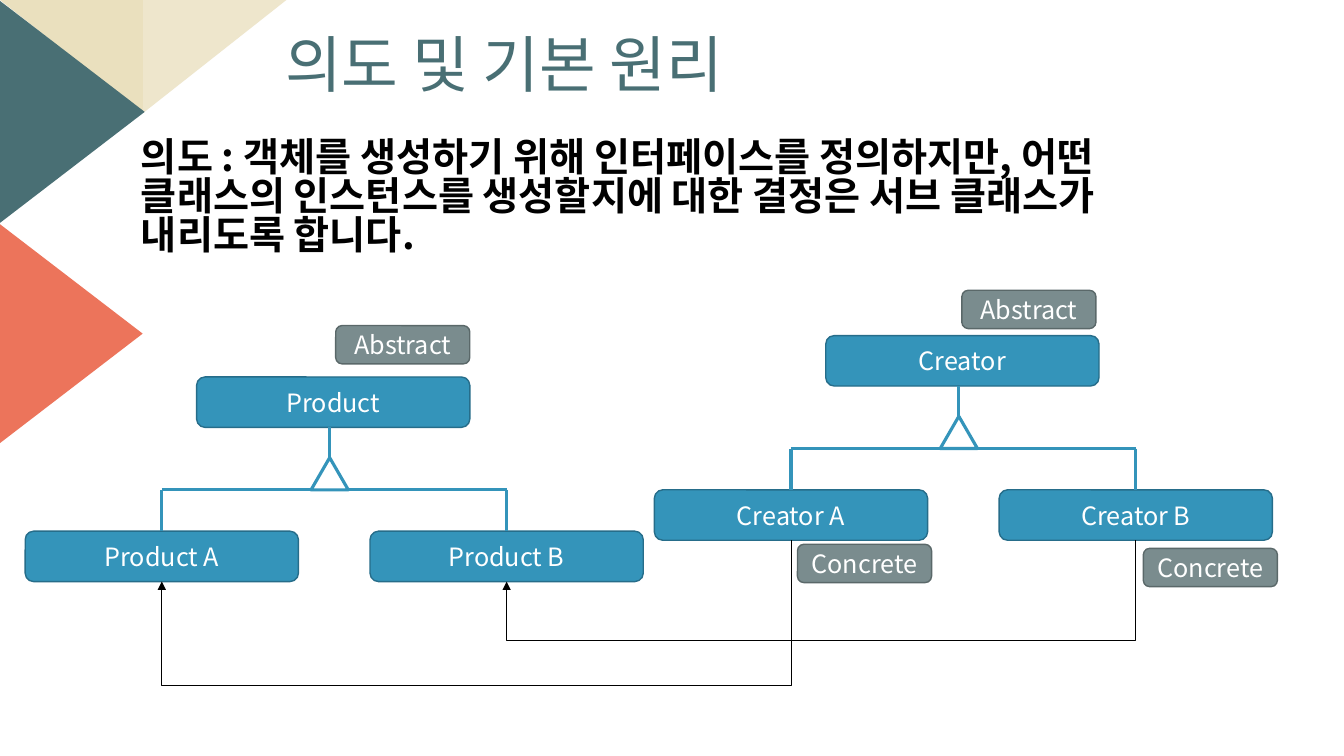
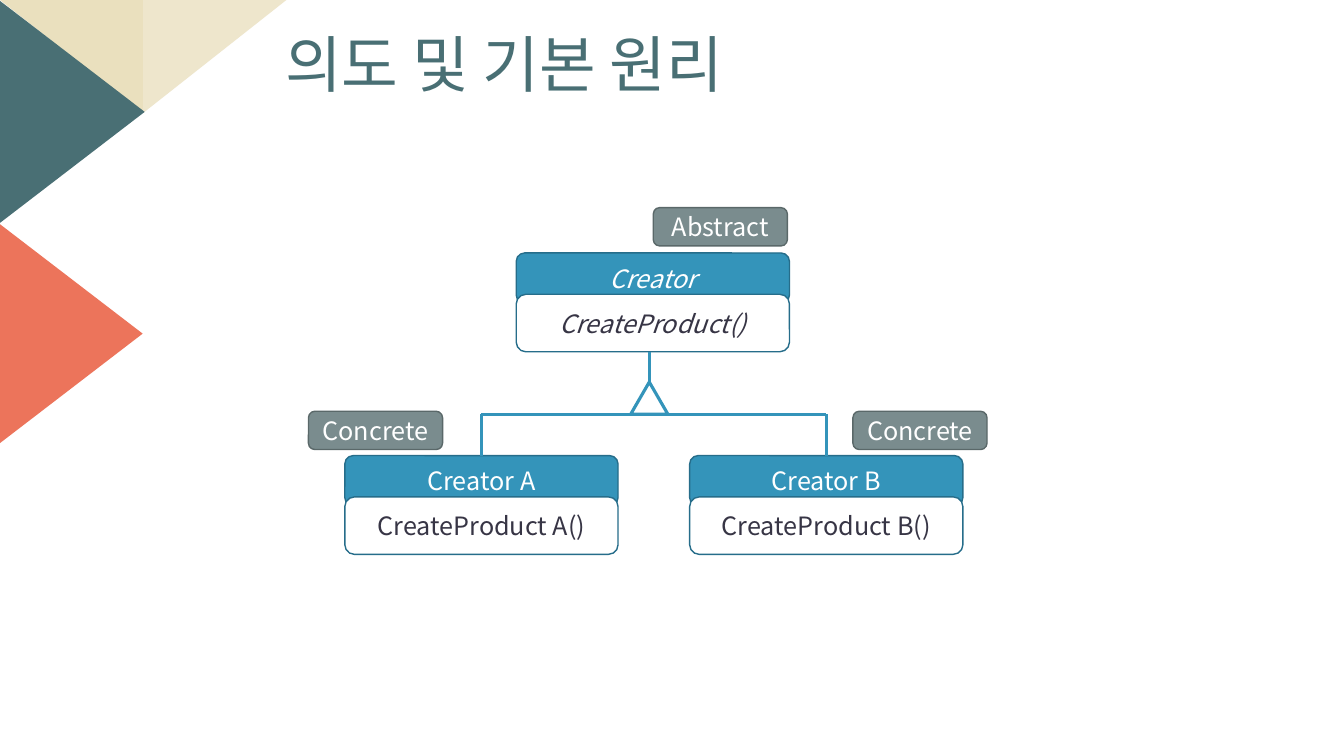
"""Build two slides on the intent and structure of the factory method."""
from lxml.etree import SubElement
from pptx import Presentation
from pptx.dml.color import RGBColor
from pptx.enum.shapes import MSO_CONNECTOR as Link, MSO_SHAPE as Preset
from pptx.enum.text import MSO_ANCHOR as Anchor, PP_ALIGN as Align
from pptx.oxml.ns import qn
from pptx.util import Pt

EMU_PER_PX = 9144
FONT = "Noto Sans CJK KR"
LINE_SPACING = 0.83
COLORS = {
    "white": "FFFFFF", "black": "000000", "ink": "373545",
    "sand": "EAE0BE", "cream": "EEE6CC", "teal": "496F74", "coral": "EC745B",
    "blue": "3494BA", "blue_edge": "266D8A", "grey": "7A8C8E", "grey_edge": "5A6869",
}
CLASS_W, CLASS_H = 271, 50
METHOD_DROP, METHOD_H = 41, 57
TAG_W, TAG_H = 133, 38
CHILD_SHIFTS, CHILD_DROP = (-170, 172), 153
STEM_SHIFT, BAR_RISE = 132, 41
ARROW_W, ARROW_H = 37, 32
TITLE = "의도 및 기본 원리"
INTENT = ("의도 : 객체를 생성하기 위해 인터페이스를 정의하지만, 어떤 클래스의 "
          "인스턴스를 생성할지에 대한 결정은 서브 클래스가 내리도록 합니다.")


def px(*lengths):
    """Turn pixel lengths into EMU."""
    return [round(length * EMU_PER_PX) for length in lengths]


def rgb(color):
    """Look up a named colour."""
    return RGBColor.from_string(COLORS[color])


def write(frame, text, size, color, bold=False, italic=False):
    """Fill a text frame and format its single paragraph."""
    frame.word_wrap = True
    frame.text = text
    paragraph = frame.paragraphs[0]
    for run in paragraph.runs:
        font = run.font
        font.name, font.size, font.bold, font.italic = FONT, Pt(size), bold, italic
        font.color.rgb = rgb(color)
        SubElement(run.font._element, qn("a:ea"), typeface=FONT)
    return paragraph


def block(slide, preset, area, fill, edge=None, weight=1):
    """Draw a preset shape with a plain fill and an optional outline."""
    shape = slide.shapes.add_shape(preset, *px(*area))
    shape.shadow.inherit = False
    shape.fill.solid()
    shape.fill.fore_color.rgb = rgb(fill)
    if edge:
        shape.line.color.rgb = rgb(edge)
        shape.line.width = Pt(weight)
    else:
        shape.line.fill.background()
    return shape


def label(slide, text, area, fill, edge, color="white", italic=False):
    """Draw a rounded box with centred text."""
    shape = block(slide, Preset.ROUNDED_RECTANGLE, area, fill, edge)
    shape.text_frame.vertical_anchor = Anchor.MIDDLE
    write(shape.text_frame, text, 18, color, italic=italic).alignment = Align.CENTER
    return shape


def tag(slide, text, x, y):
    """Draw a grey stereotype tag."""
    label(slide, text, (x, y, TAG_W, TAG_H), "grey", "grey_edge")


def class_box(slide, name, x, y, method=None, italic=False):
    """Draw a class with an optional method and return its header."""
    header = label(slide, name, (x, y, CLASS_W, CLASS_H), "blue", "blue_edge", italic=italic)
    if method:
        label(slide, method, (x, y + METHOD_DROP, CLASS_W, METHOD_H),
              "white", "blue_edge", "ink", italic)
    return header


def connector(slide, kind, ends, color, weight):
    """Draw a connector without a shadow."""
    link = slide.shapes.add_connector(kind, *px(*ends))
    link.line.color.rgb = rgb(color)
    link.line.width = Pt(weight)
    SubElement(link.element.spPr, qn("a:effectLst"))
    return link


def family(slide, x, y, names, methods=(None, None, None), italic=False):
    """Draw a parent with two subclasses and return the subclass headers."""
    class_box(slide, names[0], x, y, methods[0], italic)
    parent_bottom = y + (METHOD_DROP + METHOD_H if methods[0] else CLASS_H)
    child_y = y + CHILD_DROP + (METHOD_DROP + METHOD_H - CLASS_H if methods[0] else 0)
    bar_y = child_y - BAR_RISE
    stem_x = x + STEM_SHIFT

    def branch(*ends):
        """Draw one blue line of the tree."""
        return connector(slide, Link.STRAIGHT, ends, "blue", 2.25)

    children = []
    for name, method, shift, side in zip(names[1:], methods[1:], CHILD_SHIFTS, (-1, 1)):
        child = class_box(slide, name, x + shift, child_y, method)
        child_x = x + shift + CLASS_W / 2
        branch(child_x, bar_y, child_x, child_y).end_connect(child, 0)
        branch(child_x, bar_y, stem_x + side * ARROW_W / 2, bar_y)
        children.append(child)
    branch(stem_x, parent_bottom, stem_x, bar_y - ARROW_H)
    block(slide, Preset.ISOSCELES_TRIANGLE,
          (stem_x - ARROW_W / 2, bar_y - ARROW_H, ARROW_W, ARROW_H), "white", "blue", 2.25)
    return children


def creates(slide, creator, product, route_y):
    """Route an arrow from under a creator to under its product."""
    link = connector(slide, Link.ELBOW, (0, 0, 1, 1), "black", 0.5)
    link.begin_connect(creator, 2)
    link.end_connect(product, 2)
    start_x, start_y, end_x, end_y = link.begin_x, link.begin_y, link.end_x, link.end_y
    across, down = start_x - end_x, end_y - start_y
    xfrm = link.element.spPr.find(qn("a:xfrm"))
    for flip in ("flipH", "flipV"):
        xfrm.attrib.pop(flip, None)
    xfrm.set("rot", str(90 * 60000))
    link.left = (start_x + end_x - down) // 2
    link.top = (start_y + end_y - across) // 2
    link.width, link.height = down, across
    geometry = link.element.spPr.find(qn("a:prstGeom"))
    guides = geometry.find(qn("a:avLst"))
    if guides is None:
        guides = SubElement(geometry, qn("a:avLst"))
    bend = round((px(route_y)[0] - start_y) / down * 100000)
    SubElement(guides, qn("a:gd"), name="adj1", fmla=f"val {bend}")
    SubElement(link.line._get_or_add_ln(), qn("a:tailEnd"), type="triangle")


def text_box(slide, text, area, size, color, bold=False, right_margin=10):
    """Place a left-aligned text box."""
    frame = slide.shapes.add_textbox(*px(*area)).text_frame
    frame.margin_right = px(right_margin)[0]
    write(frame, text, size, color, bold).line_spacing = LINE_SPACING


def new_slide(deck):
    """Add a slide with the corner triangles and the title."""
    slide = deck.slides.add_slide(deck.slide_layouts[6])
    for preset, area, turn, fill in (
        (Preset.RIGHT_TRIANGLE, (0, 0, 142, 112), 180, "sand"),
        (Preset.RIGHT_TRIANGLE, (142, 0, 142, 112), 180, "cream"),
        (Preset.ISOSCELES_TRIANGLE, (-39, 39, 221, 144), 90, "teal"),
        (Preset.ISOSCELES_TRIANGLE, (-41, 259, 221, 144), 90, "coral"),
    ):
        corner = block(slide, preset, area, fill)
        corner.rotation = turn
        if fill == "cream":
            corner.element.spPr.find(qn("a:xfrm")).set("flipH", "1")
    text_box(slide, TITLE, (273, 33, 606, 59), 44, "teal")
    return slide


def intent_slide(deck):
    """Show the intent and the two parallel hierarchies."""
    slide = new_slide(deck)
    text_box(slide, INTENT, (130, 134, 1115, 199), 28, "black", True, right_margin=60)
    creators = family(slide, 819, 333, ("Creator", "Creator A", "Creator B"))
    products = family(slide, 195, 374, ("Product", "Product A", "Product B"))
    for creator, product, route_y in zip(creators, products, (680, 635)):
        creates(slide, creator, product, route_y)
    for text, x, y in (("Abstract", 954, 288), ("Concrete", 791, 540),
                       ("Concrete", 1134, 544), ("Abstract", 333, 323)):
        tag(slide, text, x, y)


def method_slide(deck):
    """Show the creator hierarchy with its factory methods."""
    slide = new_slide(deck)
    family(slide, 512, 251, ("Creator", "Creator A", "Creator B"),
           ("CreateProduct()", "CreateProduct A()", "CreateProduct B()"), italic=True)
    for text, x, y in (("Abstract", 648, 206), ("Concrete", 306, 408),
                       ("Concrete", 846, 408)):
        tag(slide, text, x, y)


def main():
    """Build and save the deck."""
    deck = Presentation()
    deck.slide_width, deck.slide_height = px(1333, 750)
    intent_slide(deck)
    method_slide(deck)
    deck.save("out.pptx")


if __name__ == "__main__":
    main()
